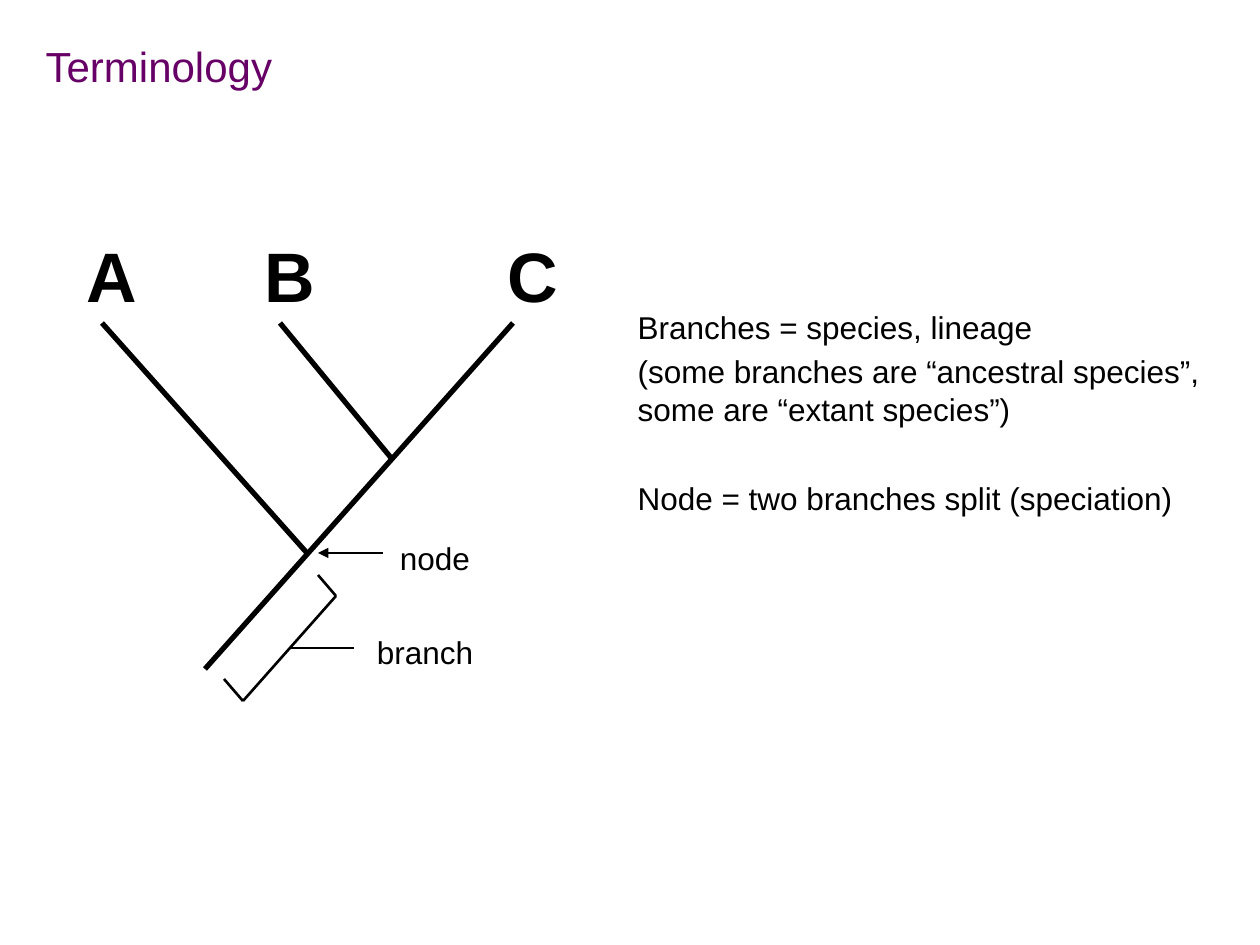
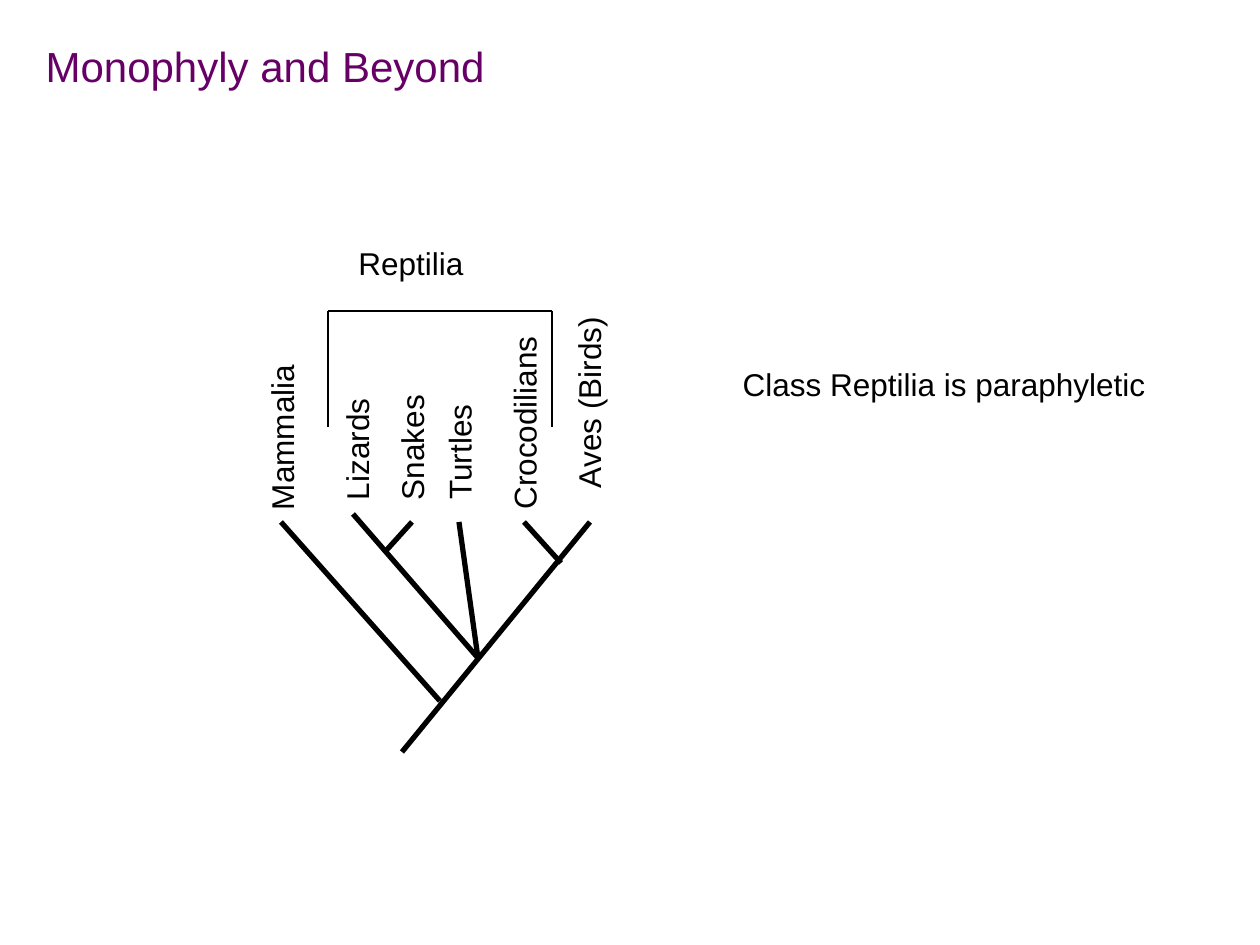
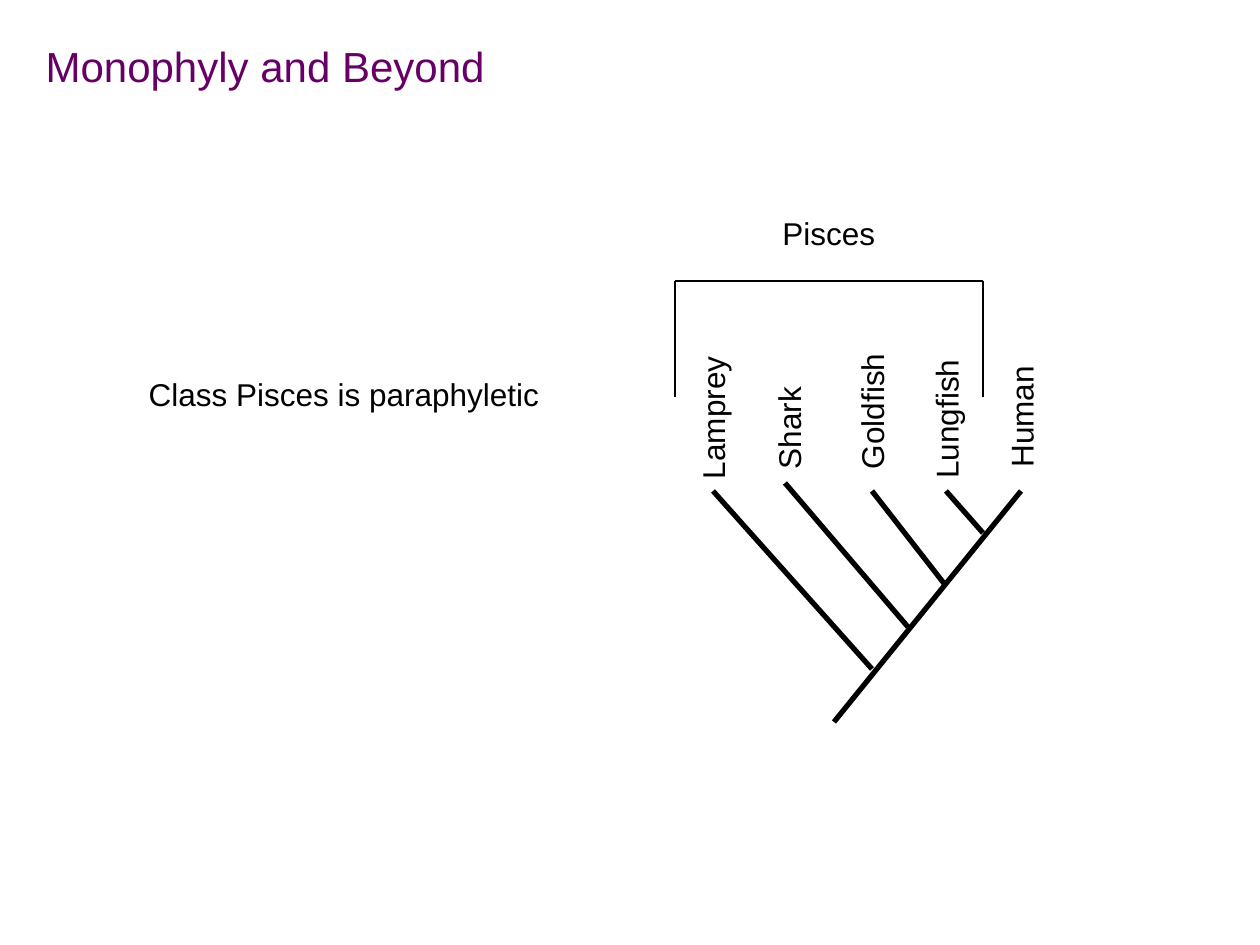
from itertools import pairwise

from lxml.etree import SubElement
from pptx import Presentation
from pptx.dml.color import RGBColor
from pptx.enum.shapes import MSO_CONNECTOR
from pptx.enum.text import MSO_ANCHOR, MSO_AUTO_SIZE, PP_ALIGN
from pptx.oxml.ns import qn
from pptx.util import Pt

SCALE = 914400 / 126
FONT = "Arial"
BLACK = "000000"
PURPLE = "660066"
THICK, MID, THIN = 3, 1.5, 0.75
DROP = 116
RISE = 73


def px(*sizes):
    """Turn pixel lengths into EMU."""
    return [round(size * SCALE) for size in sizes]


def color(code):
    """Turn a hex string into a colour."""
    return RGBColor.from_string(code)


def place(shape, box):
    """Move and size a shape to a pixel box."""
    shape.left, shape.top, shape.width, shape.height = px(*box)


def write(shape, text, size=18, ink=BLACK, bold=False, align=PP_ALIGN.LEFT,
          anchor=MSO_ANCHOR.TOP, wrap=False, gaps=(0,)):
    """Fill a shape with plain paragraphs, one for each line and gap."""
    frame = shape.text_frame
    frame.text = text
    frame.word_wrap = wrap
    frame.auto_size = MSO_AUTO_SIZE.NONE
    frame.vertical_anchor = anchor
    for para, gap in zip(frame.paragraphs, gaps):
        props = para._p.get_or_add_pPr()
        props.set("marL", "0")
        props.set("indent", "0")
        SubElement(props, qn("a:buNone"))
        para.alignment = align
        para.space_before = Pt(gap)
        for run in para.runs:
            font = run.font
            font.name, font.size, font.bold = FONT, Pt(size), bold
            font.color.rgb = color(ink)


def label(slide, text, box, turn=0, **style):
    """Add a text box, turned if asked."""
    shape = slide.shapes.add_textbox(*px(*box))
    shape.rotation = turn
    write(shape, text, **style)


def taxon(slide, name, mid, foot, span):
    """Add a name that reads upward from its foot."""
    box = (mid - span // 2, foot - span // 2 - 19, span, 38)
    label(slide, name, box, turn=270, anchor=MSO_ANCHOR.MIDDLE, wrap=True)


def trace(slide, *points, width=THICK, arrow=False):
    """Join points with lines, with an arrowhead at each start if asked."""
    for start, end in pairwise(points):
        line = slide.shapes.add_connector(
            MSO_CONNECTOR.STRAIGHT, *px(*start, *end))
        line.line.color.rgb = color(BLACK)
        line.line.width = Pt(width)
        if arrow:
            SubElement(line.line._ln, qn("a:headEnd"), type="triangle")
        SubElement(line._element.spPr, qn("a:effectLst"))


def start(deck, layout, title, width):
    """Add a slide with its title."""
    slide = deck.slides.add_slide(deck.slide_layouts[layout])
    place(slide.shapes.title, (33, 34, width, 63))
    write(slide.shapes.title, title, size=24, ink=PURPLE)
    return slide


def group(slide, name, left, right, top, box):
    """Draw a bracket over a group of taxa and name it."""
    trace(slide, (left, top + DROP), (left, top), (right, top),
          (right, top + DROP), width=THIN)
    side, span = box
    label(slide, name, (side, top - RISE, span, 50))


def terms(deck):
    """Build the slide on the parts of a tree."""
    slide = start(deck, 1, "Terminology", 256)
    body = slide.placeholders[1]
    place(body, (625, 302, 604, 300))
    lines = ("Branches = species, lineage",
             "(some branches are “ancestral species”, some are “extant species”)",
             "Node = two branches split (speciation)")
    write(body, "\n".join(lines), wrap=True, gaps=(0, 3.6, 29))

    trace(slide, (205, 669), (513, 323))
    trace(slide, (102, 323), (307, 553))
    trace(slide, (280, 323), (392, 459))
    for name, left in (("A", 74), ("B", 252), ("C", 495)):
        label(slide, name, (left, 238, 55, 73), size=40, bold=True,
              align=PP_ALIGN.CENTER, anchor=MSO_ANCHOR.MIDDLE, wrap=True)

    trace(slide, (318, 553), (383, 553), width=MID, arrow=True)
    trace(slide, (318, 575), (336, 596), (243, 701), (224, 679), width=MID)
    trace(slide, (290, 648), (354, 648), width=MID)
    label(slide, "node", (387, 533, 96, 50), align=PP_ALIGN.CENTER)
    label(slide, "branch", (364, 627, 122, 50), align=PP_ALIGN.CENTER)


def clade(deck, claim, spot, limbs, taxa, crown):
    """Build a slide with a tree, its taxa and a claim."""
    slide = start(deck, 5, "Monophyly and Beyond", 469)
    label(slide, claim, (*spot, 532, 50), align=PP_ALIGN.CENTER, wrap=True)
    for limb in limbs:
        trace(slide, *limb)
    for item in taxa:
        taxon(slide, *item)
    group(slide, *crown)


def main():
    """Build and save the deck."""
    deck = Presentation()
    deck.slide_width, deck.slide_height = px(1260, 945)
    terms(deck)
    clade(deck, "Class Reptilia is paraphyletic", (678, 359),
          limbs=(((402, 752), (590, 522)),
                 ((281, 522), (440, 701)),
                 ((353, 514), (478, 658)),
                 ((384, 553), (412, 522)),
                 ((459, 522), (478, 658)),
                 ((524, 522), (561, 563))),
          taxa=(("Mammalia", 281, 522, 199),
                ("Lizards", 356, 512, 147),
                ("Snakes", 411, 512, 147),
                ("Turtles", 459, 512, 126),
                ("Crocodilians", 524, 522, 210),
                ("Aves (Birds)", 588, 500, 199)),
          crown=("Reptilia", 328, 552, 311, (346, 131)))
    clade(deck, "Class Pisces is paraphyletic", (78, 369),
          limbs=(((834, 722), (1021, 491)),
                 ((713, 491), (872, 669)),
                 ((785, 483), (908, 627)),
                 ((872, 491), (946, 586)),
                 ((946, 491), (983, 533))),
          taxa=(("Lamprey", 712, 491, 199),
                ("Shark", 788, 481, 147),
                ("Goldfish", 871, 481, 147),
                ("Lungfish", 946, 491, 168),
                ("Human", 1021, 480, 136)),
          crown=("Pisces", 675, 983, 281, (770, 120)))
    deck.save("out.pptx")


if __name__ == "__main__":
    main()
